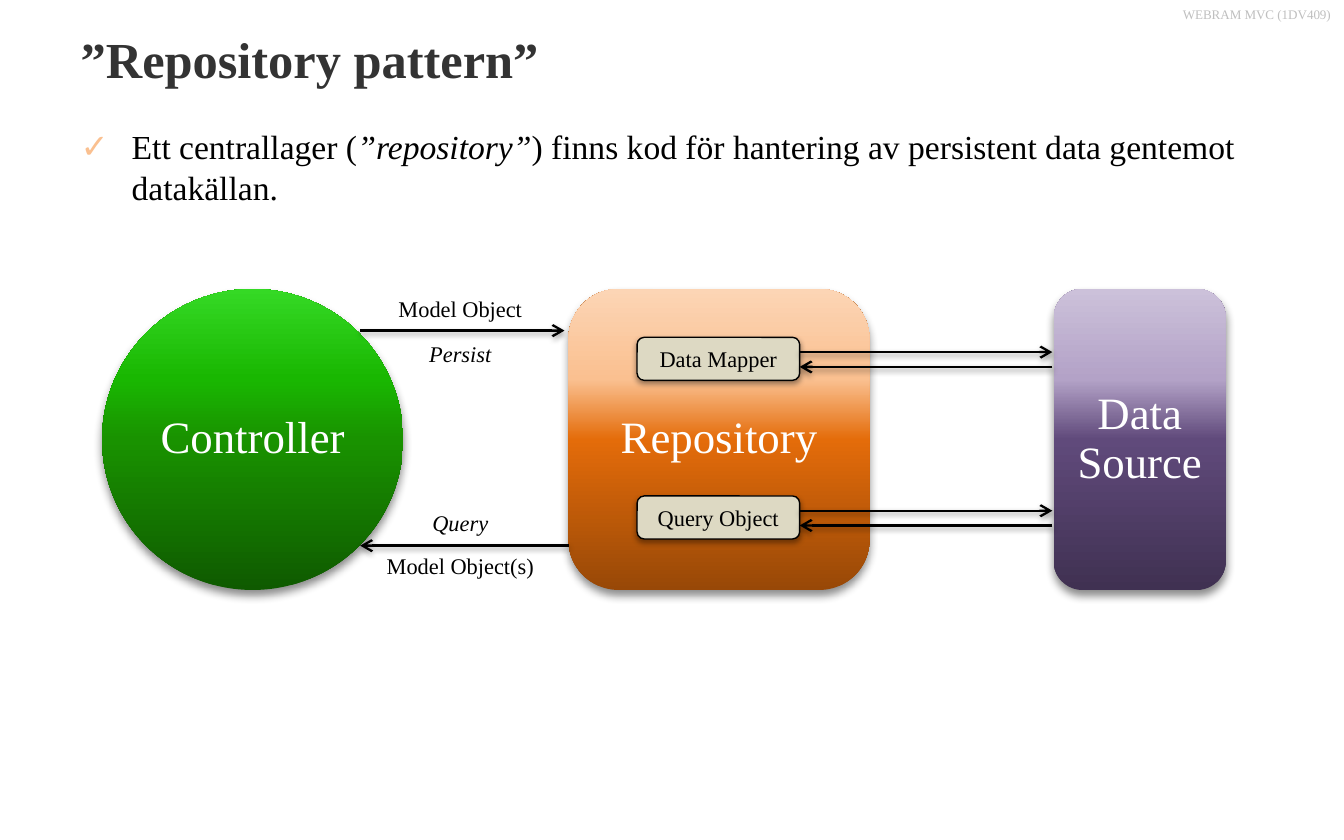
"""Build the "Repository pattern" slide on a grid of 100 columns by 62.5 rows."""
from dataclasses import dataclass

from lxml.etree import SubElement
from pptx import Presentation
from pptx.dml.color import RGBColor as RGB
from pptx.enum.shapes import MSO_CONNECTOR as Link, MSO_SHAPE as Shape
from pptx.enum.text import MSO_ANCHOR as Anchor, PP_ALIGN as Align
from pptx.oxml.ns import qn
from pptx.util import Inches, Pt


@dataclass(frozen=True)
class Theme:
    font: str = "Times New Roman"
    ink: str = "000000"
    paper: str = "FFFFFF"
    heading: str = "333333"
    muted: str = "BFBFBF"
    bullet: str = "FAC090"
    box: str = "DDD9C3"
    green: tuple = ("0F5A00", "199200", "19B701", "35D925")
    orange: tuple = ("984807", "E46C0A", "FAC090", "FCD5B5")
    purple: tuple = ("403152", "604A7B", "B3A2C7", "CCC1DA")
    stops: tuple = (0, 50, 70, 100)
    title: int = 27
    node: int = 24
    body: int = 18
    label: int = 12
    header: int = 7


t = Theme()
prs = Presentation()
prs.slide_width, prs.slide_height = Inches(10), Inches(6.25)
U = prs.slide_width // 100
s = prs.slides.add_slide(prs.slide_layouts[1])


def style(p, size, color, align=Align.CENTER, bold=False, italic=False):
    p.alignment = align
    for r in p.runs:
        r.font.name, r.font.size = t.font, Pt(size)
        r.font.bold, r.font.italic = bold, italic
        r.font.color.rgb = RGB.from_string(color)


def add_shadow(sp, alpha, blur, dist):
    effects = SubElement(sp._element.spPr, qn("a:effectLst"))
    outer = SubElement(effects, qn("a:outerShdw"), blurRad=str(Pt(blur)), dist=str(Pt(dist)),
                       dir="5400000", algn="ctr", rotWithShape="0")
    color = SubElement(outer, qn("a:srgbClr"), val=t.ink)
    SubElement(color, qn("a:alpha"), val=str(alpha * 1000))


header = s.shapes.add_textbox(54.2 * U, 0, 45.8 * U, 3.4 * U)
header.text_frame.word_wrap = True
header.text_frame.text = "WEBRAM MVC (1DV409)"
style(header.text_frame.paragraphs[0], t.header, t.muted, Align.RIGHT)

title = s.shapes.title
title.left, title.top, title.width, title.height = (int(n * U) for n in (5, 1.1, 90, 6.5))
title.text_frame.text = "”Repository pattern”"
title.text_frame.vertical_anchor = Anchor.MIDDLE
style(title.text_frame.paragraphs[0], t.title, t.heading, Align.LEFT, bold=True)

body = s.placeholders[1]
body.left, body.top, body.width, body.height = (int(n * U) for n in (5, 8.9, 90, 50.5))
p = body.text_frame.paragraphs[0]
for text in ("Ett centrallager (", "”repository”",
             ") finns kod för hantering av persistent data gentemot datakällan."):
    p.add_run().text = text
style(p, t.body, t.ink, Align.LEFT)
p.runs[1].font.italic = True
p.space_before = Pt(6)
pPr = p._p.get_or_add_pPr()
pPr.set("marL", str(Inches(0.38)))
pPr.set("indent", str(-Inches(0.38)))
SubElement(SubElement(pPr, qn("a:buClr")), qn("a:srgbClr"), val=t.bullet)
SubElement(pPr, qn("a:buChar"), char="✓")

nodes = (
    ("Controller", Shape.OVAL, 7.6, 22.4, t.green),
    ("Repository", Shape.ROUNDED_RECTANGLE, 42.3, 22.4, t.orange),
    ("Data\vSource", Shape.ROUNDED_RECTANGLE, 78.4, 12.8, t.purple),
)
for text, kind, x, w, colors in nodes:
    sp = s.shapes.add_shape(kind, x * U, 21.5 * U, w * U, 22.4 * U)
    sp.fill.gradient()
    sp.fill.gradient_angle = 90
    gs_list = sp._element.spPr.find(".//" + qn("a:gsLst"))
    gs_list.clear()
    for stop, color in zip(t.stops, colors):
        gs = SubElement(gs_list, qn("a:gs"), pos=str(stop * 1000))
        SubElement(gs, qn("a:srgbClr"), val=color)
    sp.line.fill.background()
    add_shadow(sp, 45, 5, 3)
    tf = sp.text_frame
    tf.margin_left = tf.margin_right = tf.margin_top = tf.margin_bottom = Inches(0.03)
    tf.vertical_anchor = Anchor.MIDDLE
    p = tf.paragraphs[0]
    p.text = text
    p.line_spacing = 0.9
    style(p, t.node, t.paper)

arrows = [(26.8, 42, 24.6), (42.3, 26.8, 40.6)]
for text, y in (("Data Mapper", 25.1), ("Query Object", 36.9)):
    sp = s.shapes.add_shape(Shape.ROUNDED_RECTANGLE, 47.4 * U, y * U, 12.1 * U, 3.2 * U)
    sp.fill.solid()
    sp.fill.fore_color.rgb = RGB.from_string(t.box)
    sp.line.color.rgb = RGB.from_string(t.ink)
    sp.line.width = Pt(0.75)
    add_shadow(sp, 38, 3.1, 1.6)
    sp.text_frame.text = text
    sp.text_frame.vertical_anchor = Anchor.MIDDLE
    style(sp.text_frame.paragraphs[0], t.label, t.ink)
    arrows += [(59.5, 78.3, y + 1.1), (78.3, 59.5, y + 2.2)]

for start, end, y in arrows:
    line = s.shapes.add_connector(Link.STRAIGHT, int(start * U), int(y * U), int(end * U), int(y * U))
    line.line.color.rgb = RGB.from_string(t.ink)
    line.line.width = Pt(1.25)
    SubElement(line.line._get_or_add_ln(), qn("a:tailEnd"), type="arrow")
    add_shadow(line, 38, 3.1, 1.6)

labels = (("Model Object", 21.5, False), ("Persist", 24.8, True),
          ("Query", 37.4, True), ("Model Object(s)", 40.6, False))
for text, y, italic in labels:
    sp = s.shapes.add_textbox(27.7 * U, y * U, 13.1 * U, 3 * U)
    sp.text_frame.word_wrap = True
    sp.text_frame.text = text
    style(sp.text_frame.paragraphs[0], t.label, t.ink, italic=italic)

prs.save("out.pptx")
